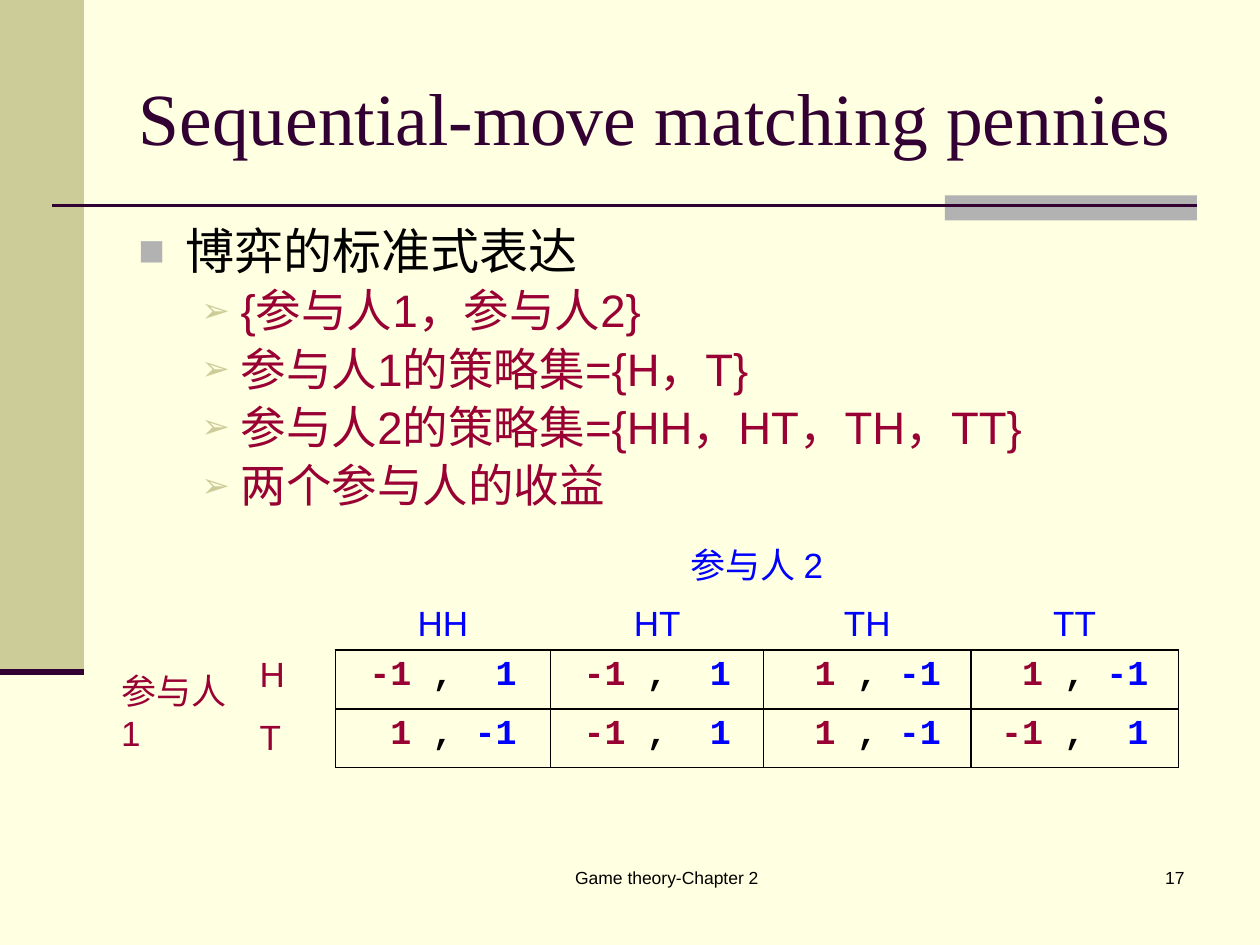
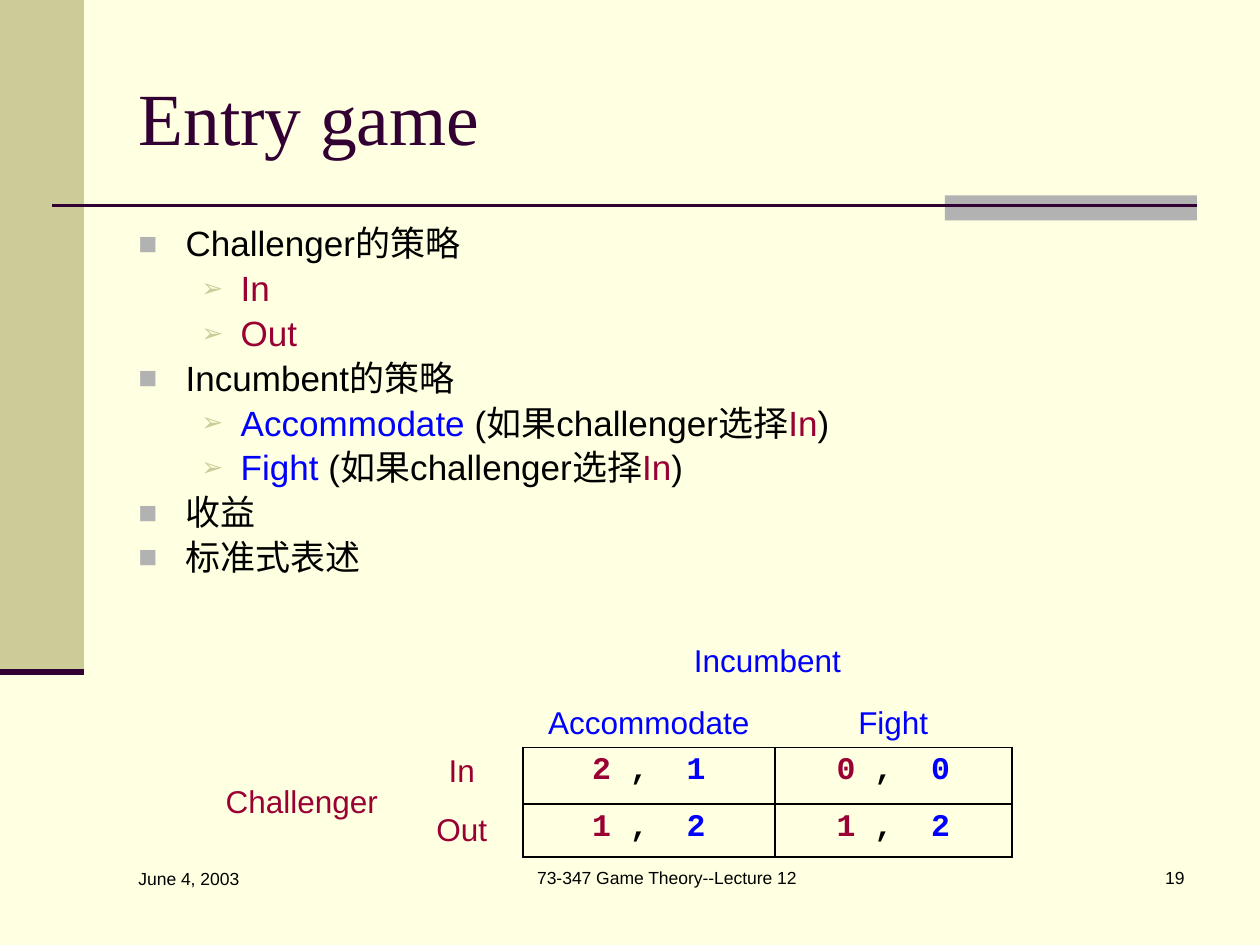
from dataclasses import dataclass

from lxml import etree
from pptx import Presentation
from pptx.dml.color import RGBColor
from pptx.enum.shapes import MSO_CONNECTOR, MSO_SHAPE
from pptx.enum.text import MSO_ANCHOR, MSO_AUTO_SIZE, PP_ALIGN
from pptx.oxml.ns import qn
from pptx.util import Pt

LEFT, MID, RIGHT = PP_ALIGN.LEFT, PP_ALIGN.CENTER, PP_ALIGN.RIGHT
TOP, HALF, LOW = MSO_ANCHOR.TOP, MSO_ANCHOR.MIDDLE, MSO_ANCHOR.BOTTOM
FIXED = MSO_AUTO_SIZE.NONE
RECT, LINE = MSO_SHAPE.RECTANGLE, MSO_CONNECTOR.STRAIGHT

CREAM = RGBColor(0xFF, 0xFF, 0xE1)
SAND = RGBColor(0xCC, 0xCC, 0x99)
GRAY = RGBColor(0xB2, 0xB2, 0xB2)
PLUM = RGBColor(0x33, 0x00, 0x33)
RED = RGBColor(0x99, 0x00, 0x33)
BLUE = RGBColor(0x00, 0x00, 0xFF)
BLACK = RGBColor(0x00, 0x00, 0x00)

SANS, SERIF, MONO = "Arial", "Times New Roman", "Courier New"
PAIR = (RED, BLACK, BLUE)
CHOICE = (BLUE, BLACK, RED, BLACK)


@dataclass(frozen=True)
class Box:
    left: float
    top: float
    width: float
    height: float

    def size(self) -> tuple:
        return Pt(self.left), Pt(self.top), Pt(self.width), Pt(self.height)


@dataclass(frozen=True)
class Mark:
    sign: str
    tint: RGBColor
    scale: int
    left: float
    hang: float


@dataclass(frozen=True)
class Item:
    text: str
    size: float = 20
    level: int = 0
    tints: tuple = (BLACK,)


@dataclass(frozen=True)
class Game:
    left: float
    top: float
    widths: tuple
    heights: tuple
    size: float
    rival: str
    player: str
    heads: tuple
    moves: tuple
    pairs: tuple
    align: PP_ALIGN


@dataclass(frozen=True)
class Page:
    title: str
    date: str
    foot: str
    number: str
    items: tuple
    depth: float
    game: Game


MARKS = (Mark("■", GRAY, 90, 27, 27), Mark("➢", SAND, 75, 58.5, 22.5))
BANDS = ((Box(0, 0, 48, 384), SAND), (Box(540, 111.6, 144, 14.4), GRAY))
RULES = ((Box(30, 117.6, 654, 0), 1.5), (Box(0, 384, 48, 0), 3.5))
TITLE = Box(72, 21.6, 612, 90)
DATE = Box(72, 492.5, 156, 36)
FOOT = Box(264, 492, 234, 36)
NUMBER = Box(534, 492, 150, 36)

PAGES = (
    Page(
        "Sequential-move matching pennies", "", "Game theory-Chapter 2", "17",
        (
            Item("博弈的标准式表达", 28),
            Item("{参与人1，参与人2}", 26, 1, (RED,)),
            Item("参与人1的策略集={H，T}", 26, 1, (RED,)),
            Item("参与人2的策略集={HH，HT，TH，TT}", 26, 1, (RED,)),
            Item("两个参与人的收益", 26, 1, (RED,)),
        ),
        353.5,
        Game(
            62, 304, (79.2, 50.4, 123.1, 121.7, 118.5, 118.5), (33.7,) * 4, 20,
            "参与人 2", "参与人 1", ("HH", "HT", "TH", "TT"), ("H", "T"),
            (
                ("-1| ,  |1", "-1| ,  |1", " 1| , |-1", " 1| , |-1"),
                (" 1| , |-1", "-1| ,  |1", " 1| , |-1", "-1| ,  |1"),
            ),
            LEFT,
        ),
    ),
    Page(
        "Entry game", "June 4, 2003", "73-347 Game Theory--Lecture 12", "19",
        (
            Item("Challenger的策略"),
            Item("In", level=1, tints=(RED,)),
            Item("Out", level=1, tints=(RED,)),
            Item("Incumbent的策略"),
            Item("Accommodate |(如果challenger选择|In|)", level=1, tints=CHOICE),
            Item("Fight |(如果challenger选择|In|)", level=1, tints=CHOICE),
            Item("收益"),
            Item("标准式表述"),
        ),
        217.5,
        Game(
            121.7, 361.5, (107.3, 69.8, 144, 135.4), (30.3, 35.3, 32.5, 30.3), 18,
            "Incumbent", "Challenger", ("Accommodate", "Fight"), ("In", "Out"),
            (("2 |, | 1", "0 |,  |0"), ("1 |,  |2", "1 |,  |2")),
            MID,
        ),
    ),
)


def write(para, text: str, tints: tuple, size: float, face: str = SANS, bold: bool = False) -> None:
    for part, tint in zip(text.split("|"), tints):
        run = para.add_run()
        run.text = part
        run.font.name = face
        run.font.size = Pt(size)
        run.font.bold = bold
        run.font.color.rgb = tint


def label(slide, box: Box, text: str, align: PP_ALIGN) -> None:
    frame = slide.shapes.add_textbox(*box.size()).text_frame
    frame.word_wrap = True
    para = frame.paragraphs[0]
    para.alignment = align
    write(para, text, (BLACK,), 10)


def decor(slide) -> None:
    for box, tint in BANDS:
        band = slide.shapes.add_shape(RECT, *box.size())
        band.shadow.inherit = False
        band.fill.solid()
        band.fill.fore_color.rgb = tint
        band.line.fill.background()
    for box, width in RULES:
        left, top, run, _ = box.size()
        rule = slide.shapes.add_connector(LINE, left, top, left + run, top)
        rule.line.color.rgb = PLUM
        rule.line.width = Pt(width)
        etree.SubElement(rule._element.spPr, qn("a:effectLst"))


def head(slide, text: str) -> None:
    title = slide.shapes.title
    title.left, title.top, title.width, title.height = TITLE.size()
    frame = title.text_frame
    frame.auto_size = FIXED
    frame.word_wrap = True
    frame.vertical_anchor = HALF
    para = frame.paragraphs[0]
    para.alignment = LEFT
    write(para, text, (PLUM,), 42, SERIF)


def bullet(para, mark: Mark) -> None:
    props = para._p.get_or_add_pPr()
    props.set("marL", str(Pt(mark.left)))
    props.set("indent", str(-Pt(mark.hang)))
    tint = etree.SubElement(props, qn("a:buClr"))
    etree.SubElement(tint, qn("a:srgbClr"), val=str(mark.tint))
    etree.SubElement(props, qn("a:buSzPct"), val=str(mark.scale * 1000))
    etree.SubElement(props, qn("a:buFont"), typeface=SANS)
    etree.SubElement(props, qn("a:buChar"), char=mark.sign)


def body(slide, items: tuple, depth: float) -> None:
    frame = slide.shapes.add_textbox(*Box(72, 126, 612, depth).size()).text_frame
    frame.word_wrap = True
    for spot, item in enumerate(items):
        para = frame.add_paragraph() if spot else frame.paragraphs[0]
        para.level = item.level
        para.line_spacing = 0.9
        para.space_before = Pt(item.size * 0.2)
        bullet(para, MARKS[item.level])
        write(para, item.text, item.tints, item.size)


def border(cell, sides: str) -> None:
    props = cell._tc.get_or_add_tcPr()
    for side in "LRTB":
        edge = etree.SubElement(props, qn(f"a:ln{side}"), w=str(Pt(1)))
        if side in sides:
            fill = etree.SubElement(edge, qn("a:solidFill"))
            etree.SubElement(fill, qn("a:srgbClr"), val=str(BLACK))
        else:
            etree.SubElement(edge, qn("a:noFill"))


def sides(row: int, col: int) -> str:
    if row > 1 and col > 1:
        return "LRTB"
    if row == 1 and col > 1:
        return "B"
    return "R" if row > 1 and col == 1 else ""


def matrix(slide, game: Game) -> None:
    rows, cols = len(game.heights), len(game.widths)
    box = Box(game.left, game.top, sum(game.widths), sum(game.heights))
    table = slide.shapes.add_table(rows, cols, *box.size()).table
    table.first_row = table.horz_banding = False
    for col, width in zip(table.columns, game.widths):
        col.width = Pt(width)
    for row, height in zip(table.rows, game.heights):
        row.height = Pt(height)
    for row in range(rows):
        for col in range(cols):
            cell = table.cell(row, col)
            border(cell, sides(row, col))
            cell.fill.background()

    def put(row: int, col: int, text: str, tints: tuple, align: PP_ALIGN,
            anchor: MSO_ANCHOR, face: str = SANS) -> None:
        cell = table.cell(row, col)
        cell.vertical_anchor = anchor
        para = cell.text_frame.paragraphs[0]
        para.alignment = align
        para.space_before = Pt(game.size * 0.2)
        write(para, text, tints, game.size, face, face == MONO)

    table.cell(0, 2).merge(table.cell(0, cols - 1))
    table.cell(2, 0).merge(table.cell(rows - 1, 0))
    put(0, 2, game.rival, (BLUE,), MID, LOW)
    put(2, 0, game.player, (RED,), LEFT, HALF)
    for col, text in enumerate(game.heads, 2):
        put(1, col, text, (BLUE,), MID, LOW)
    for row, (move, pairs) in enumerate(zip(game.moves, game.pairs), 2):
        put(row, 1, move, (RED,), game.align, TOP if row == 2 else HALF)
        for col, pair in enumerate(pairs, 2):
            put(row, col, pair, PAIR, MID, TOP, MONO)


def build(deck, page: Page) -> None:
    slide = deck.slides.add_slide(deck.slide_layouts[5])
    decor(slide)
    if page.date:
        label(slide, DATE, page.date, LEFT)
    label(slide, FOOT, page.foot, MID)
    label(slide, NUMBER, page.number, RIGHT)
    head(slide, page.title)
    body(slide, page.items, page.depth)
    matrix(slide, page.game)


def main() -> None:
    deck = Presentation()
    deck.slide_width, deck.slide_height = Pt(720), Pt(540)
    back = deck.slide_master.background.fill
    back.solid()
    back.fore_color.rgb = CREAM
    for page in PAGES:
        build(deck, page)
    deck.save("out.pptx")


if __name__ == "__main__":
    main()
